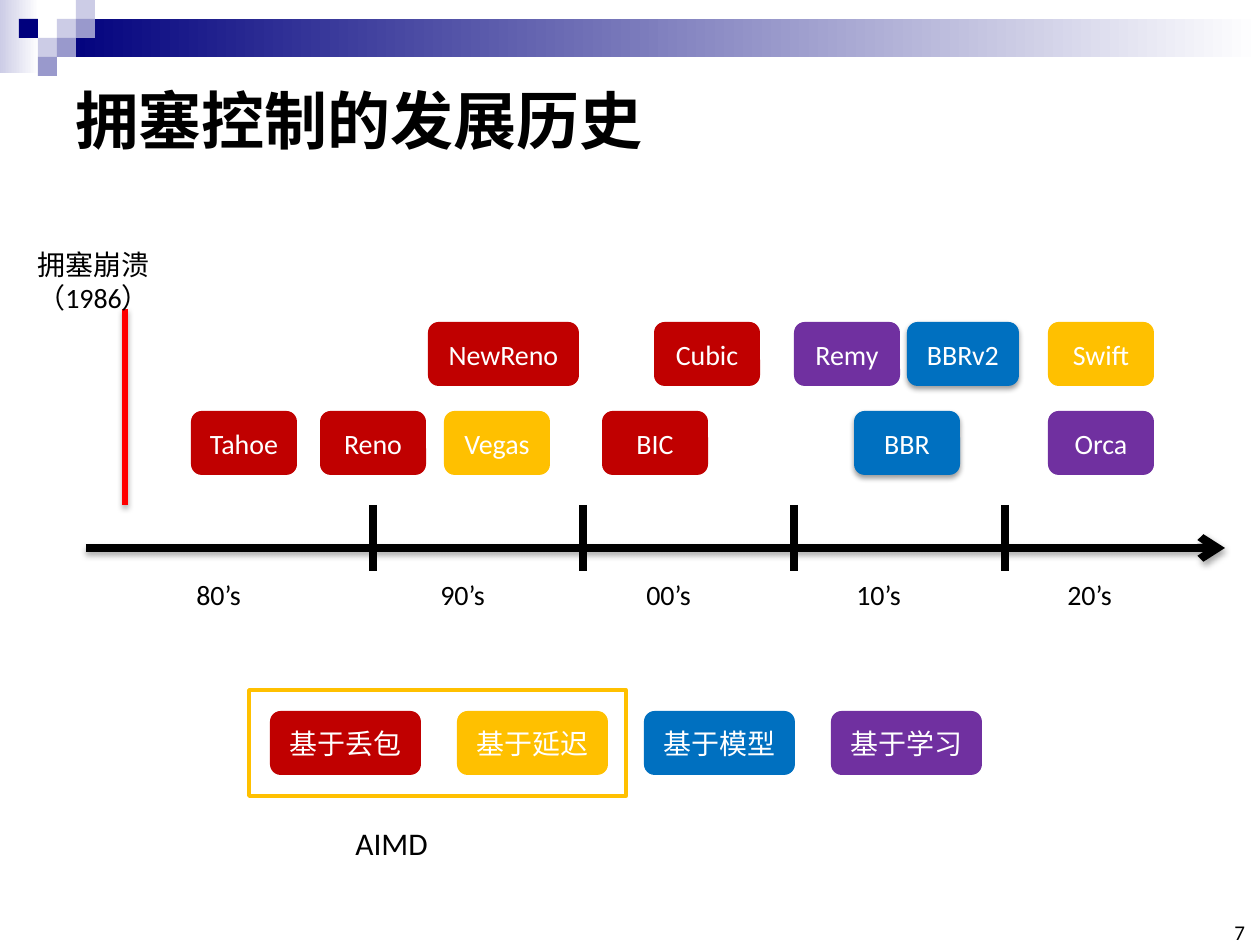
from lxml import etree
from pptx import Presentation
from pptx import util as u
from pptx.dml.color import RGBColor
from pptx.enum import shapes, text
from pptx.oxml.ns import qn

PX = 914400 / 126
LATIN, CJK = "Calibri", "Noto Sans CJK SC"
COLORS = {
    "black": "000000", "white": "FFFFFF", "red": "FF0000",
    "navy": "00007D", "pale": "CCCCE6", "mid": "9999CC",
    "loss": "C00000", "delay": "FFC000", "model": "0070C0", "learning": "7030A0",
}


def px(length):
    return u.Emu(round(length * PX))


def rgb(name):
    return RGBColor.from_string(COLORS[name])


def write(frame, words, size=16, color="black", font=LATIN, bold=False,
          align=text.PP_ALIGN.LEFT, anchor=text.MSO_ANCHOR.TOP, wrap=True, inset=None):
    frame.word_wrap = wrap
    frame.vertical_anchor = anchor
    if inset is not None:
        frame.margin_left = frame.margin_right = px(inset)
        frame.margin_top = frame.margin_bottom = px(inset)
    paragraph = frame.paragraphs[0]
    paragraph.alignment = align
    run = paragraph.add_run()
    run.text = words
    run.font.size, run.font.bold, run.font.name = u.Pt(size), bold, font
    run.font.color.rgb = rgb(color)
    east_asian = etree.Element(qn("a:ea"), typeface=CJK)
    run.font._element.find(qn("a:latin")).addnext(east_asian)


def set_shadow(shape, distance=0, alpha=35):
    """Give the shape a soft shadow below it, or none when distance is 0."""
    properties = shape._element.spPr
    for old in properties.findall(qn("a:effectLst")):
        properties.remove(old)
    effects = etree.SubElement(properties, qn("a:effectLst"))
    if distance:
        outer = etree.SubElement(effects, qn("a:outerShdw"), blurRad="40000",
                                 dist=str(distance), dir="5400000", rotWithShape="0")
        shade = etree.SubElement(outer, qn("a:srgbClr"), val=COLORS["black"])
        etree.SubElement(shade, qn("a:alpha"), val=str(alpha * 1000))


class Deck:
    def __init__(self):
        self.presentation = Presentation()
        self.presentation.slide_width = px(1260)
        self.presentation.slide_height = px(945)
        self.slide = self.presentation.slides.add_slide(
            self.presentation.slide_layouts[5])

    def title(self, words, *box):
        heading = self.slide.shapes.title
        heading.left, heading.top, heading.width, heading.height = map(px, box)
        write(heading.text_frame, words, size=36, bold=True,
              anchor=text.MSO_ANCHOR.MIDDLE)

    def block(self, *box, fill=None, fade=False, outline=None,
              kind=shapes.MSO_SHAPE.RECTANGLE):
        shape = self.slide.shapes.add_shape(kind, *map(px, box))
        shape.shadow.inherit = False
        if fade:
            shape.fill.gradient()
            shape.fill.gradient_angle = 0
            for stop, color in zip(shape.fill.gradient_stops, (fill, "white")):
                stop.color.rgb = rgb(color)
        elif fill:
            shape.fill.solid()
            shape.fill.fore_color.rgb = rgb(fill)
        else:
            shape.fill.background()
        if outline:
            shape.line.color.rgb = rgb(outline)
            shape.line.width = u.Pt(2)
        else:
            shape.line.fill.background()
        return shape

    def chip(self, words, left, top, width, family, font=LATIN, shadow=0):
        shape = self.block(left, top, width, 64, fill=family,
                           kind=shapes.MSO_SHAPE.ROUNDED_RECTANGLE)
        if shadow:
            set_shadow(shape, shadow, alpha=38)
        write(shape.text_frame, words, color="white", font=font,
              align=text.PP_ALIGN.CENTER, anchor=text.MSO_ANCHOR.MIDDLE)

    def label(self, words, *box, **style):
        textbox = self.slide.shapes.add_textbox(*map(px, box))
        write(textbox.text_frame, words, **style)

    def line(self, *ends, color="black", weight=4.5, shadow=0, arrow=False):
        connector = self.slide.shapes.add_connector(
            shapes.MSO_CONNECTOR.STRAIGHT, *map(px, ends))
        connector.line.color.rgb = rgb(color)
        connector.line.width = u.Pt(weight)
        if arrow:
            etree.SubElement(connector.line._get_or_add_ln(), qn("a:tailEnd"),
                             type="arrow")
        set_shadow(connector, shadow)


def draw_banner(deck):
    cell = 19
    deck.block(0, 0, 39, 73, fill="pale", fade=True)
    deck.block(3 * cell, cell, 1203, 2 * cell, fill="navy", fade=True)
    mosaic = [(3, 1, "pale"), (4, 0, "pale"), (4, 1, "mid"), (2, 2, "pale"),
              (1, 1, "navy"), (3, 2, "mid"), (2, 3, "mid")]
    for column, row, color in mosaic:
        deck.block(column * cell, row * cell, cell, cell, fill=color)


def draw_timeline(deck):
    deck.line(86, 548, 1225, 548, shadow=23000, arrow=True)
    for decade in range(4):
        tick = 373 + decade * 632 // 3
        deck.line(tick, 505, tick, 571)
    for words, left in [("80’s", 184), ("90’s", 428), ("00’s", 634),
                        ("10’s", 844), ("20’s", 1055)]:
        deck.label(words, left, 571, 87, 47)
    deck.line(125, 309, 125, 505, color="red", weight=3, shadow=23000)
    deck.label("拥塞崩溃（1986）", 25, 241, 219, 81)


def draw_algorithms(deck):
    upper, lower = 322, 411
    algorithms = [
        ("Tahoe", 191, lower, 106, "loss"), ("Reno", 320, lower, 106, "loss"),
        ("Vegas", 444, lower, 106, "delay"), ("NewReno", 428, upper, 151, "loss"),
        ("Cubic", 654, upper, 106, "loss"), ("BIC", 602, lower, 106, "loss"),
        ("BBR", 854, lower, 106, "model"), ("BBRv2", 907, upper, 112, "model"),
        ("Remy", 794, upper, 106, "learning"), ("Orca", 1048, lower, 106, "learning"),
        ("Swift", 1048, upper, 106, "delay"),
    ]
    for name, left, top, width, family in algorithms:
        deck.chip(name, left, top, width, family,
                  shadow=20000 if family == "model" else 0)


def draw_legend(deck):
    families = [("基于丢包", "loss"), ("基于延迟", "delay"),
                ("基于模型", "model"), ("基于学习", "learning")]
    for place, (words, family) in enumerate(families):
        deck.chip(words, 270 + 187 * place, 711, 151, family, font=CJK)
    deck.block(249, 690, 377, 106, outline="delay")
    deck.label("AIMD", 343, 818, 98, 50, size=18, wrap=False)


def main():
    deck = Deck()
    draw_banner(deck)
    deck.title("拥塞控制的发展历史", 63, 63, 1134, 112)
    draw_timeline(deck)
    draw_algorithms(deck)
    draw_legend(deck)
    deck.label("7", 1216, 924, 29, 21, size=12, inset=0,
               align=text.PP_ALIGN.RIGHT, anchor=text.MSO_ANCHOR.BOTTOM)
    deck.presentation.save("out.pptx")


if __name__ == "__main__":
    main()
